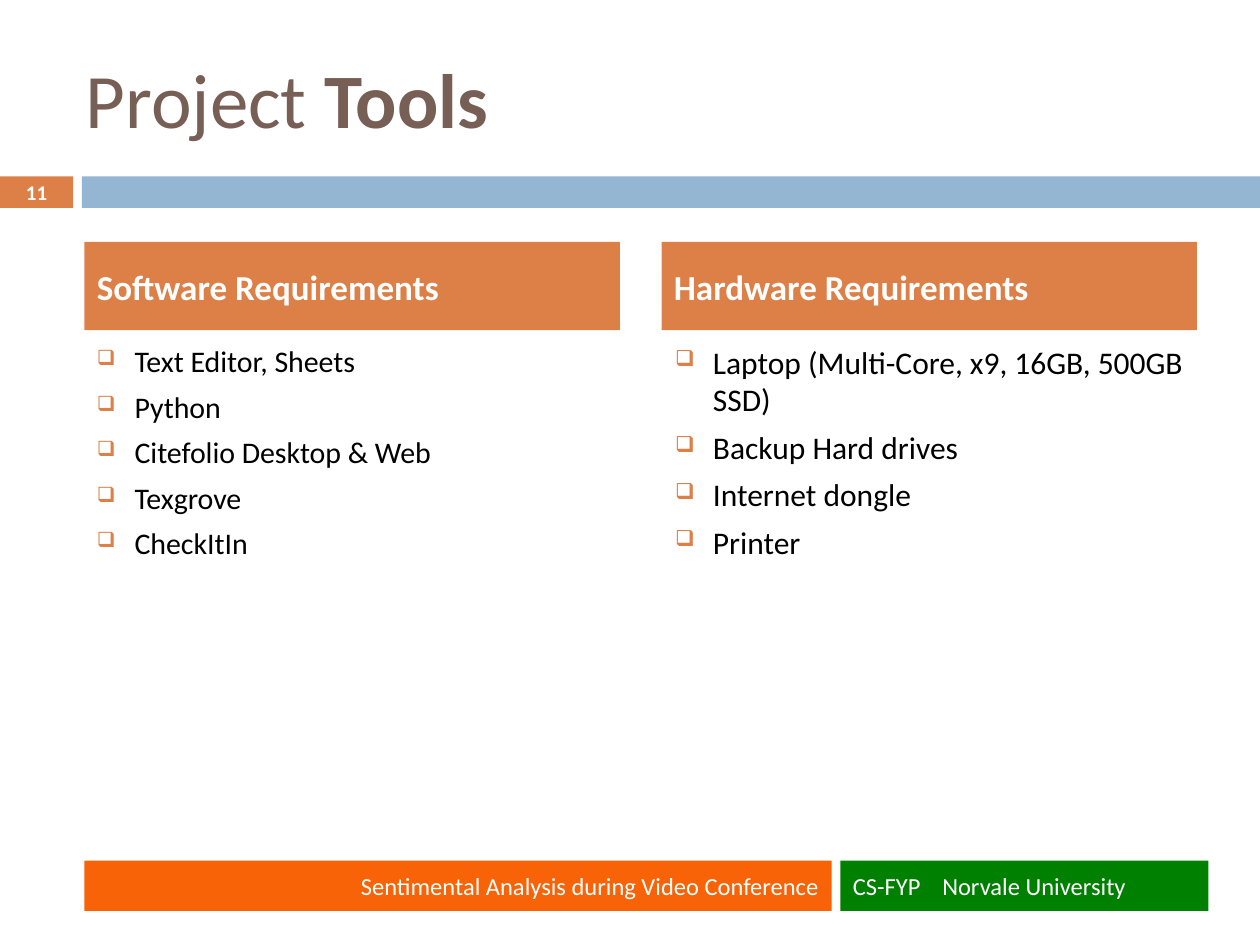
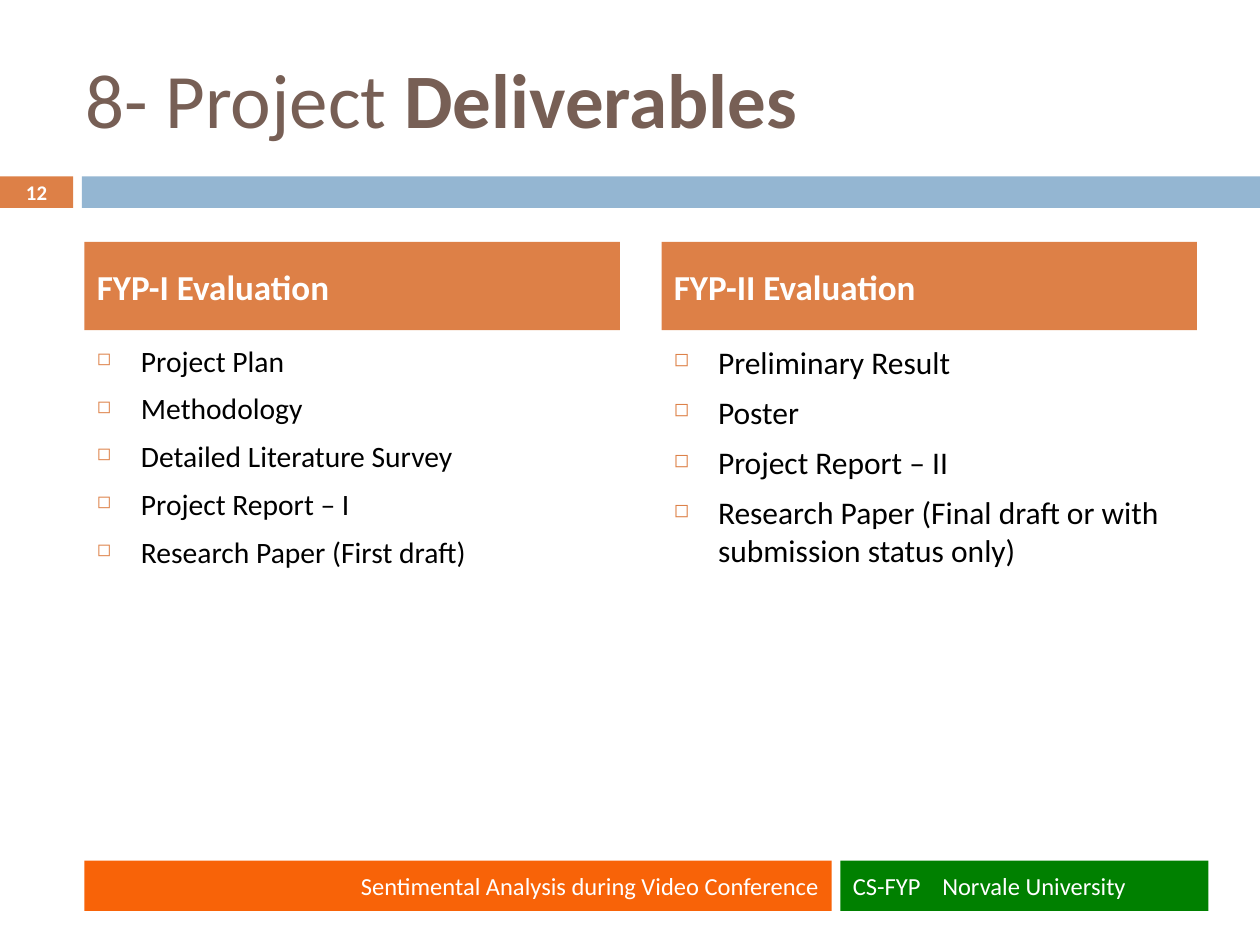
from dataclasses import dataclass

from lxml.etree import SubElement
from pptx import Presentation
from pptx.dml.color import RGBColor
from pptx.enum.shapes import MSO_SHAPE
from pptx.enum.text import MSO_ANCHOR, MSO_AUTO_SIZE, PP_ALIGN
from pptx.oxml.ns import qn
from pptx.util import Inches, Pt

# Each column: heading, text size, left indent, items
SLIDES = [
    {
        "number": 11,
        "title": ("Project ", "Tools"),
        "bullet": {"character": "❑", "percent": 70, "hanging": 0.3, "space": 5.5},
        "columns": [
            ("Software Requirements", 17.1, 0.3, [
                "Text Editor, Sheets",
                "Python",
                "Citefolio Desktop & Web",
                "Texgrove",
                "CheckItIn",
            ]),
            ("Hardware Requirements", 18, 0.31, [
                "Laptop (Multi-Core, x9, 16GB, 500GB SSD)",
                "Backup Hard drives",
                "Internet dongle",
                "Printer",
            ]),
        ],
    },
    {
        "number": 12,
        "title": ("8- Project ", "Deliverables"),
        "bullet": {"character": "◻", "percent": 60, "hanging": 0.35, "space": 7},
        "columns": [
            ("FYP-I Evaluation", 16.9, 0.35, [
                "Project Plan",
                "Methodology",
                "Detailed Literature Survey",
                "Project Report – I",
                "Research Paper (First draft)",
            ]),
            ("FYP-II Evaluation", 18, 0.35, [
                "Preliminary Result",
                "Poster",
                "Project Report – II",
                "Research Paper (Final draft or with submission status only)",
            ]),
        ],
    },
]
FOOTER_TOPIC = "Sentimental Analysis during Video Conference"
FOOTER_SOURCE = "CS-FYP\tNorvale University"


@dataclass(frozen=True)
class Theme:
    font: str = "Calibri"
    accent: str = "DD8047"
    band: str = "94B6D2"
    title: str = "775F55"
    topic: str = "F86308"
    source: str = "008000"
    ink: str = "000000"
    light: str = "FFFFFF"
    title_size: float = 44
    heading_size: float = 20
    footer_size: float = 14
    number_size: float = 11.9


THEME = Theme()

# Grid, in inches
SLIDE_WIDTH, SLIDE_HEIGHT = 10, 7.5
LEFT, RIGHT = 0.67, 9.5
GUTTER = 0.33
COLUMN_WIDTH = (RIGHT - LEFT - GUTTER) / 2
NUMBER_WIDTH, BAND_LEFT = 0.58, 0.65
BAND_TOP, BAND_HEIGHT = 1.4, 0.25
TITLE_TOP, TITLE_HEIGHT = 0.3, 0.95
HEADING_TOP, HEADING_HEIGHT = 1.92, 0.7
LIST_TOP, LIST_HEIGHT = 2.67, 3.92
FOOTER_TOP, FOOTER_HEIGHT = 6.83, 0.4
TOPIC_WIDTH, SOURCE_LEFT, SOURCE_WIDTH = 5.93, 6.67, 2.92
SOURCE_TAB = 0.71


def inches(*lengths):
    return [Inches(length) for length in lengths]


def format_runs(paragraph, size, color, bold=False):
    for run in paragraph.runs:
        run.font.name = THEME.font
        run.font.size = Pt(size)
        run.font.bold = bold
        run.font.color.rgb = RGBColor.from_string(color)


def add_box(slide, box, fill, text="", size=THEME.footer_size, bold=False,
            align=PP_ALIGN.LEFT):
    """Add a flat filled rectangle with light text; return its paragraph."""
    shape = slide.shapes.add_shape(MSO_SHAPE.RECTANGLE, *inches(*box))
    shape.shadow.inherit = False
    shape.fill.solid()
    shape.fill.fore_color.rgb = RGBColor.from_string(fill)
    shape.line.fill.background()
    frame = shape.text_frame
    frame.vertical_anchor = MSO_ANCHOR.MIDDLE
    frame.text = text
    paragraph = frame.paragraphs[0]
    paragraph.alignment = align
    format_runs(paragraph, size, THEME.light, bold)
    return paragraph


def set_bullet(paragraph, indent, character, percent, hanging, space):
    paragraph.space_before = Pt(space)
    properties = paragraph._p.get_or_add_pPr()
    properties.set("marL", str(Inches(indent)))
    properties.set("indent", str(-Inches(hanging)))
    color = SubElement(properties, qn("a:buClr"))
    SubElement(color, qn("a:srgbClr"), val=THEME.accent)
    SubElement(properties, qn("a:buSzPct"), val=str(percent * 1000))
    SubElement(properties, qn("a:buChar"), char=character)


def set_tab_stop(paragraph, position):
    tabs = SubElement(paragraph._p.get_or_add_pPr(), qn("a:tabLst"))
    SubElement(tabs, qn("a:tab"), pos=str(Inches(position)), algn="l")


def add_title(slide, plain, strong):
    title = slide.shapes.title
    title.left, title.top, title.width, title.height = inches(
        NUMBER_WIDTH, TITLE_TOP, RIGHT - NUMBER_WIDTH, TITLE_HEIGHT)
    frame = title.text_frame
    frame.auto_size = MSO_AUTO_SIZE.NONE
    frame.vertical_anchor = MSO_ANCHOR.MIDDLE
    frame.text = plain
    paragraph = frame.paragraphs[0]
    paragraph.alignment = PP_ALIGN.LEFT
    paragraph.add_run().text = strong
    format_runs(paragraph, THEME.title_size, THEME.title)
    paragraph.runs[-1].font.bold = True


def add_bands_and_footer(slide, number):
    add_box(slide, (0, BAND_TOP, NUMBER_WIDTH, BAND_HEIGHT), THEME.accent,
            str(number), THEME.number_size, True, PP_ALIGN.CENTER)
    add_box(slide, (BAND_LEFT, BAND_TOP, SLIDE_WIDTH - BAND_LEFT, BAND_HEIGHT),
            THEME.band)
    add_box(slide, (LEFT, FOOTER_TOP, TOPIC_WIDTH, FOOTER_HEIGHT), THEME.topic,
            FOOTER_TOPIC, align=PP_ALIGN.RIGHT)
    source = add_box(slide, (SOURCE_LEFT, FOOTER_TOP, SOURCE_WIDTH, FOOTER_HEIGHT),
                     THEME.source, FOOTER_SOURCE)
    set_tab_stop(source, SOURCE_TAB)


def add_column(slide, left, bullet, heading, size, indent, items):
    heading_paragraph = add_box(
        slide, (left, HEADING_TOP, COLUMN_WIDTH, HEADING_HEIGHT), THEME.accent,
        heading, THEME.heading_size, True)
    heading_paragraph.space_before = Pt(7)
    frame = slide.shapes.add_textbox(
        *inches(left, LIST_TOP, COLUMN_WIDTH, LIST_HEIGHT)).text_frame
    frame.word_wrap = True
    frame.text = "\n".join(items)
    for paragraph in frame.paragraphs:
        set_bullet(paragraph, indent, **bullet)
        format_runs(paragraph, size, THEME.ink)


def main():
    presentation = Presentation()
    presentation.slide_width, presentation.slide_height = inches(
        SLIDE_WIDTH, SLIDE_HEIGHT)
    title_only = presentation.slide_layouts.get_by_name("Title Only")
    for content in SLIDES:
        slide = presentation.slides.add_slide(title_only)
        add_title(slide, *content["title"])
        add_bands_and_footer(slide, content["number"])
        for index, column in enumerate(content["columns"]):
            left = LEFT + index * (COLUMN_WIDTH + GUTTER)
            add_column(slide, left, content["bullet"], *column)
    presentation.save("out.pptx")


if __name__ == "__main__":
    main()
